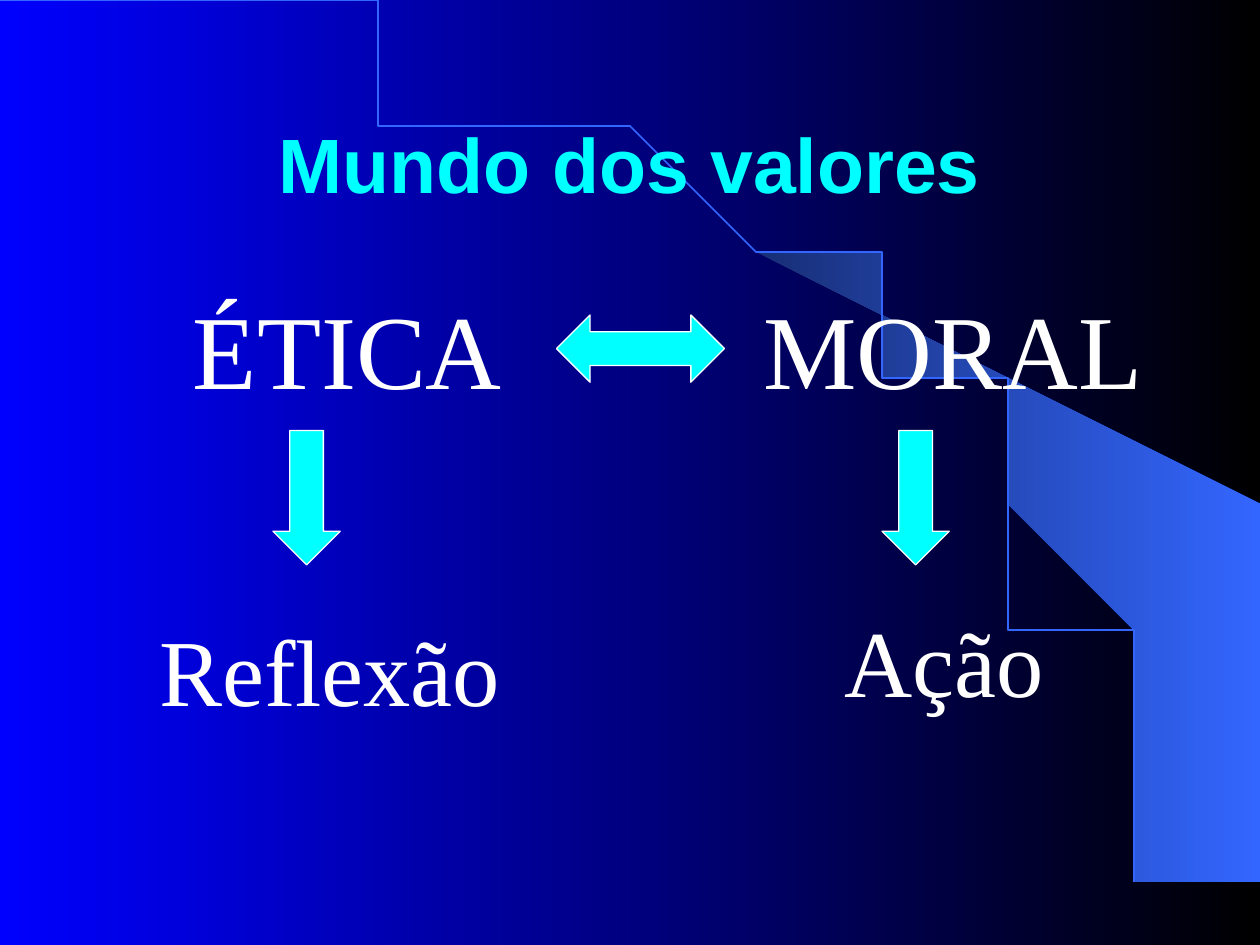
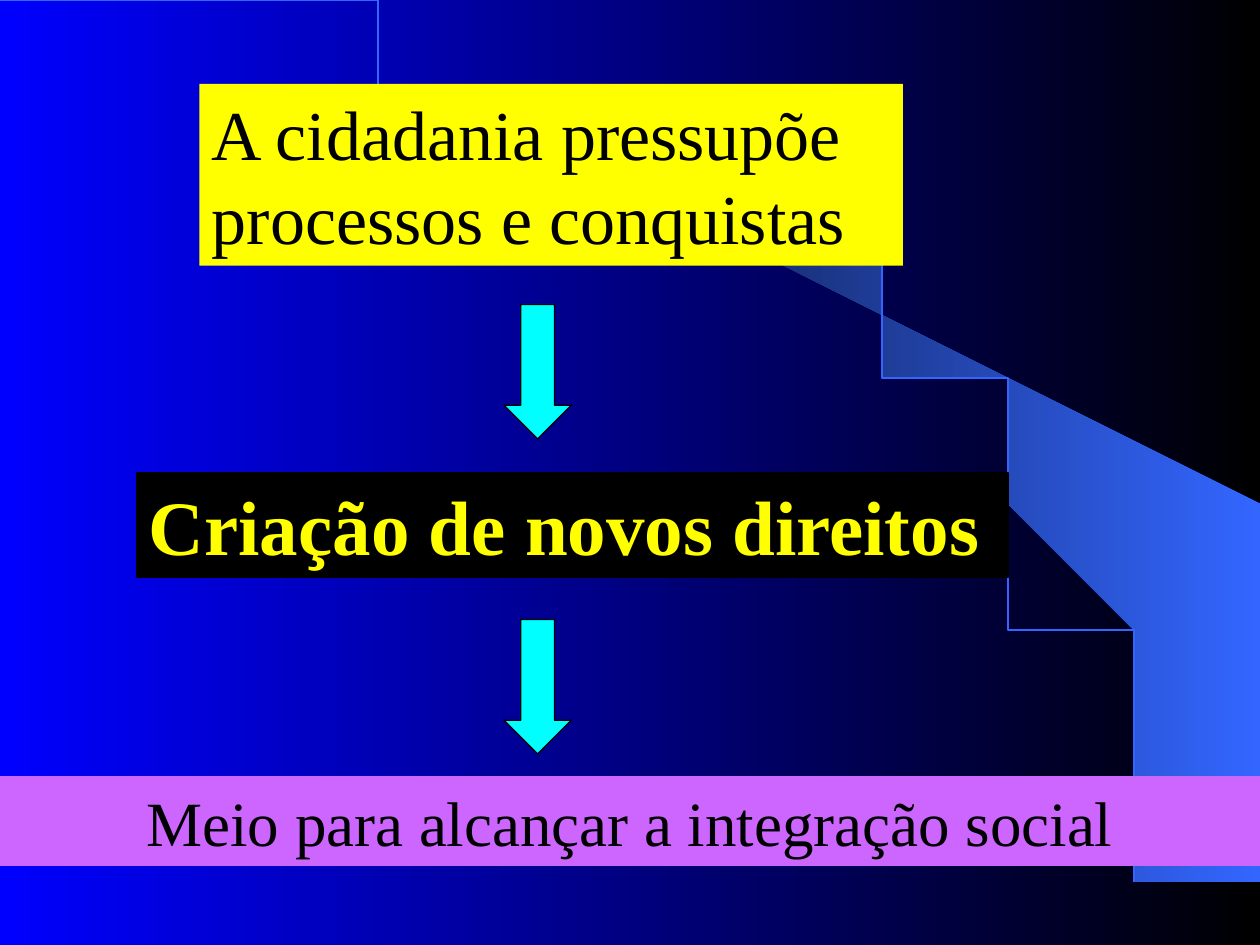
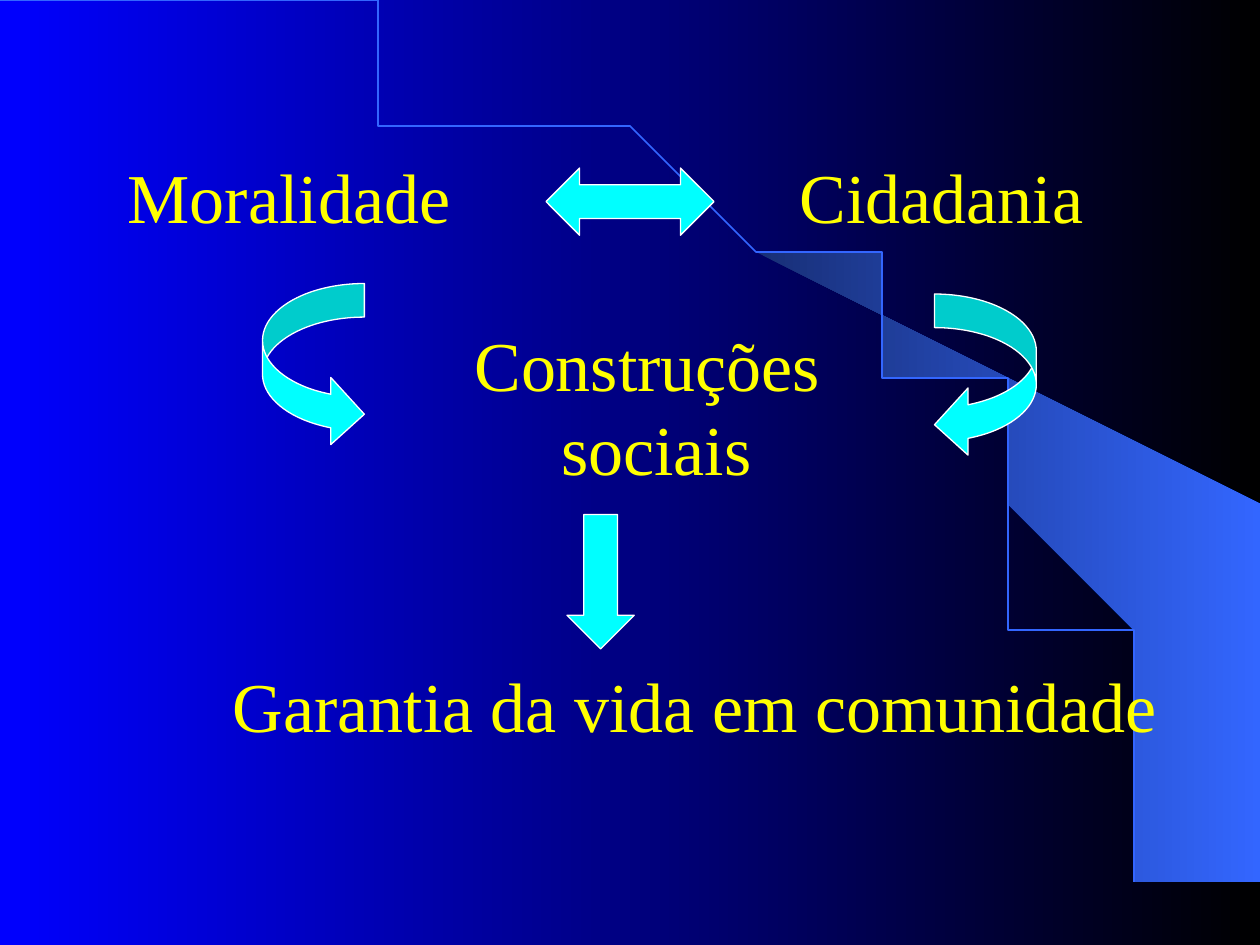
from dataclasses import dataclass
from pptx import Presentation
from pptx.dml.color import RGBColor as Rgb
from pptx.enum.shapes import MSO_SHAPE as Kind
from pptx.enum.text import MSO_ANCHOR as Anchor, PP_ALIGN as Align
from pptx.util import Inches, Pt


@dataclass(frozen=True)
class Theme:
    """Colours, fonts and type sizes of the deck."""
    blue: str = "0000FF"
    black: str = "000000"
    white: str = "FFFFFF"
    cyan: str = "00FFFF"
    yellow: str = "FFFF00"
    lilac: str = "CC66FF"
    navy: str = "182F76"
    sky: str = "3366FF"
    serif: str = "Times New Roman"
    sans: str = "Arial"
    huge: int = 60
    big: int = 54
    head: int = 44
    body: int = 40
    small: int = 36
    thin: float = 0.75


COLS, ROWS = 120, 90
WIDE, HIGH = Inches(10), Inches(7.5)
ARC = ((0, 0), (5.08, 0), (9.2, 3.35), (9.2, 7.49))
FAN = ((9.2, 7.48), (9.99, 7.49), (9.99, 4.23), (5.89, 1.73), (6.24, 1.99),
       (6.53, 2.22), (6.85, 2.5), (7.16, 2.8), (7.62, 3.3), (8.03, 3.84),
       (8.32, 4.31), (8.58, 4.79), (8.78, 5.28), (8.93, 5.72), (9.03, 6.09),
       (9.13, 6.56), (9.17, 6.96))


def put(item, vals):
    """Set each attribute of an item from a dict."""
    for name, val in vals.items():
        setattr(item, name, val)


def curve(ends, steps=60):
    """Return points along a cubic curve."""
    pts = []
    for i in range(steps + 1):
        t = i / steps
        mix = ((1 - t) ** 3, 3 * t * (1 - t) ** 2, 3 * t * t * (1 - t), t ** 3)
        pts.append(tuple(sum(m * e[k] for m, e in zip(mix, ends)) for k in (0, 1)))
    return pts


class Deck:
    """Hold the theme and the current slide, and draw on its grid."""

    def __init__(self, theme):
        """Start an empty deck."""
        self.theme = theme
        self.show = Presentation()
        put(self.show, {"slide_width": WIDE, "slide_height": HIGH})

    def page(self):
        """Add a slide with its backdrop."""
        t = self.theme
        self.slide = self.show.slides.add_slide(self.show.slide_layouts[6])
        self.fade(self.slide.background.fill, t.blue, t.black)
        fan = self.trace(FAN, True)
        self.fade(fan.fill, t.navy, t.sky)
        fan.line.fill.background()
        self.paint(self.trace(curve(ARC), False), None, t.sky, 1)

    def grid(self, col, row, wide, high):
        """Turn grid units into lengths."""
        return (round(WIDE * col / COLS), round(HIGH * row / ROWS),
                round(WIDE * wide / COLS), round(HIGH * high / ROWS))

    def fade(self, fill, start, end):
        """Fill from left to right with two colours."""
        fill.gradient()
        fill.gradient_angle = 0
        for stop, tint in zip(fill.gradient_stops, (start, end)):
            stop.color.rgb = Rgb.from_string(tint)

    def trace(self, pts, close):
        """Draw an outline through points in inches."""
        pen = self.slide.shapes.build_freeform(*pts[0], scale=Inches(1))
        pen.add_line_segments(pts[1:], close=close)
        form = pen.convert_to_shape()
        form.shadow.inherit = False
        return form

    def paint(self, form, fill, line, width):
        """Give a shape its fill and line."""
        form.shadow.inherit = False
        for part, tint in ((form.fill, fill), (form.line.fill, line)):
            if tint:
                part.solid()
                part.fore_color.rgb = Rgb.from_string(tint)
            else:
                part.background()
        if line:
            form.line.width = Pt(width)

    def words(self, form, text, size, tint, face=None, bold=False,
              align=Align.LEFT, anchor=Anchor.TOP, hang=0):
        """Set the words of a shape."""
        frame = form.text_frame
        put(frame, {"word_wrap": True, "vertical_anchor": anchor, "text": text})
        para = frame.paragraphs[0]
        para.alignment = align
        if hang:
            prop = para._p.get_or_add_pPr()
            prop.set("marL", str(Inches(hang)))
            prop.set("indent", str(-Inches(hang)))
        font = para.runs[0].font
        put(font, {"size": Pt(size), "name": face or self.theme.serif, "bold": bold})
        font.color.rgb = Rgb.from_string(tint)

    def label(self, box, text, size, tint, **style):
        """Add a plain text box."""
        form = self.slide.shapes.add_textbox(*self.grid(*box))
        self.words(form, text, size, tint, **style)

    def band(self, box, text, size, tint, fill, line=None, **style):
        """Add a filled box with words."""
        form = self.slide.shapes.add_shape(Kind.RECTANGLE, *self.grid(*box))
        self.paint(form, fill, line, self.theme.thin)
        self.words(form, text, size, tint, **style)

    def arrow(self, kind, box, line, turns=(0.5, 0.5)):
        """Add a block arrow."""
        form = self.slide.shapes.add_shape(kind, *self.grid(*box))
        for i, turn in enumerate(turns):
            form.adjustments[i] = turn
        self.paint(form, self.theme.cyan, line, self.theme.thin)

    def down(self, col, row, line):
        """Add an arrow that points down."""
        self.arrow(Kind.DOWN_ARROW, (col, row, 6.4, 12.8), line)

    def both(self, col, row):
        """Add an arrow that points both ways."""
        self.arrow(Kind.LEFT_RIGHT_ARROW, (col, row, 16, 6.4), self.theme.white)

    def bend(self, kind, col, row):
        """Add a curved arrow."""
        self.arrow(kind, (col, row, 9.7, 15.65), self.theme.white, (0.33, 0.66, 0.33))


def values(deck):
    """Draw the world of values."""
    t = deck.theme
    deck.page()
    deck.label((9, 8, 102, 15), "Mundo dos valores", t.head, t.cyan, face=t.sans,
               bold=True, align=Align.CENTER, anchor=Anchor.MIDDLE)
    deck.label((17.2, 26.5, 36, 13), "ÉTICA", t.huge, t.white)
    deck.label((71.5, 26.5, 42, 13), "MORAL", t.huge, t.white)
    deck.both(53, 30)
    for col in (26, 84):
        deck.down(col, 41, t.white)
    deck.label((14, 57.7, 41, 12), "Reflexão", t.big, t.white)
    deck.label((79.25, 56.8, 28, 12), "Ação", t.big, t.white)


def rights(deck):
    """Draw the steps to new rights."""
    t = deck.theme
    deck.page()
    deck.band((19, 8, 67, 17.3), "A cidadania pressupõe processos e conquistas",
              t.body, t.black, t.yellow)
    deck.band((13, 45, 83, 10), "Criação de novos direitos", t.head, t.yellow,
              t.black, t.black, bold=True)
    deck.band((0, 74, COLS, 8.4), "Meio para alcançar a integração social", t.small,
              t.black, t.lilac, t.lilac, align=Align.CENTER)
    for row in (29, 59):
        deck.down(48, row, t.black)


def bonds(deck):
    """Draw the social bonds."""
    t = deck.theme
    deck.page()
    deck.label((11, 14, 35, 9.2), "Moralidade", t.body, t.yellow)
    deck.label((75, 14, 34, 9.2), "Cidadania", t.body, t.yellow)
    deck.both(52, 16)
    deck.bend(Kind.CURVED_RIGHT_ARROW, 25, 27)
    deck.bend(Kind.CURVED_LEFT_ARROW, 89, 28)
    deck.label((44, 30, 40, 17.3), "Construções sociais", t.body, t.yellow, hang=0.69)
    deck.down(54, 49, t.white)
    deck.label((21, 62.5, 92, 9.2), "Garantia da vida em comunidade", t.body, t.yellow)


def main():
    """Build and save the deck."""
    deck = Deck(Theme())
    for draw in (values, rights, bonds):
        draw(deck)
    deck.show.save("out.pptx")


if __name__ == "__main__":
    main()
